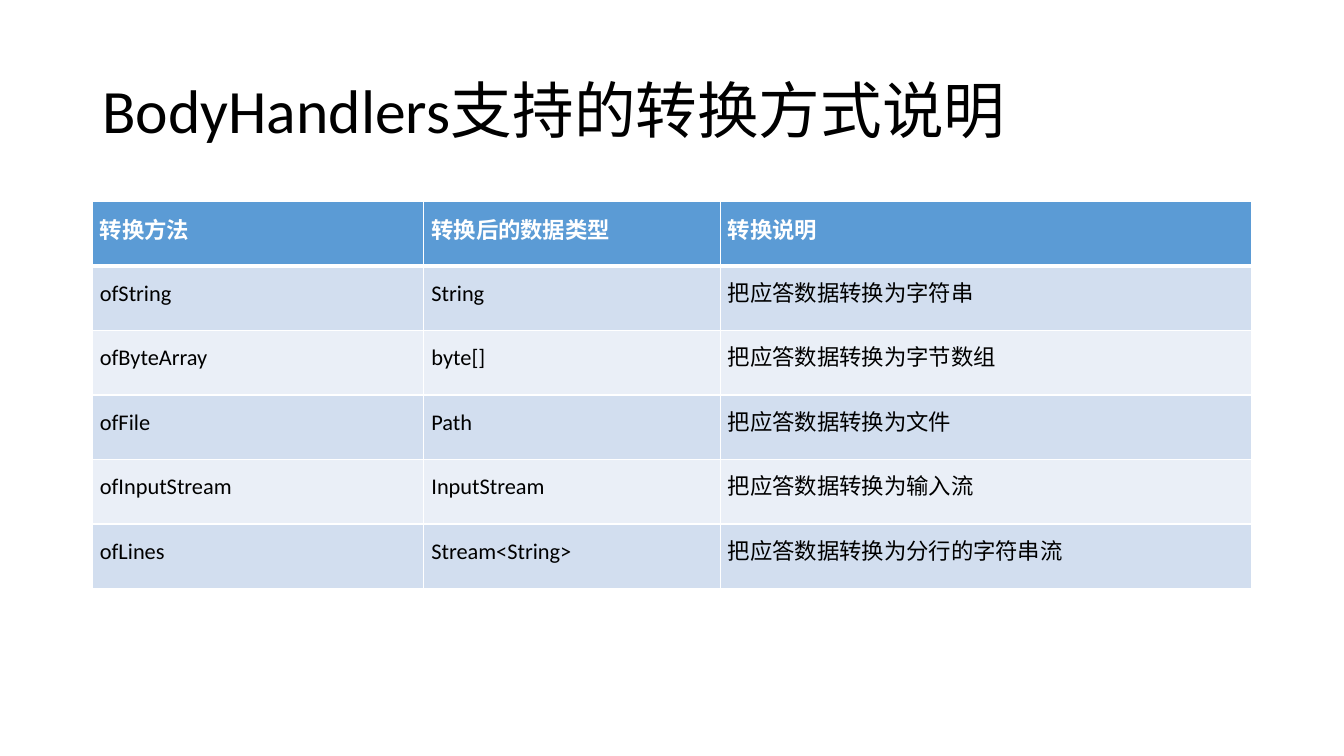
from dataclasses import dataclass

from lxml.etree import SubElement
from pptx import Presentation
from pptx.dml.color import RGBColor
from pptx.enum.text import MSO_ANCHOR, PP_ALIGN
from pptx.oxml.ns import qn
from pptx.util import Pt

TITLE = "BodyHandlers支持的转换方式说明"
HEADINGS = ("转换方法", "转换后的数据类型", "转换说明")
HANDLERS = [
    ("ofString", "String", "把应答数据转换为字符串"),
    ("ofByteArray", "byte[]", "把应答数据转换为字节数组"),
    ("ofFile", "Path", "把应答数据转换为文件"),
    ("ofInputStream", "InputStream", "把应答数据转换为输入流"),
    ("ofLines", "Stream<String>", "把应答数据转换为分行的字符串流"),
]

SLIDE_WIDTH, SLIDE_HEIGHT = 960, 540
LEFT, CONTENT_WIDTH = 66, 828
TITLE_TOP, TITLE_HEIGHT = 28.75, 104.4
TABLE_TOP, ROW_HEIGHT = 144, 46.08
COLUMN_WIDTHS = (236.8, 211.8, 379.4)
CELL_INSET = 5.4


@dataclass(frozen=True)
class Theme:
    """Font, type sizes and colours of the slide."""
    font: str = "Calibri"
    title_size: int = 44
    table_size: int = 16
    text: str = "000000"
    white: str = "FFFFFF"
    header: str = "5B9BD5"
    bands: tuple = ("D2DEEF", "EAEFF7")


THEME = Theme()


def style_font(paragraph, size, color, bold=False):
    """Set the font of a whole paragraph."""
    font = paragraph.font
    font.name, font.size, font.bold = THEME.font, Pt(size), bold
    font.color.rgb = RGBColor.from_string(color)


def add_borders(cell, bottom_width):
    """Draw white borders round a cell; call before setting its fill."""
    properties = cell._tc.get_or_add_tcPr()
    for side, width in (("L", 1), ("R", 1), ("T", 1), ("B", bottom_width)):
        line = SubElement(properties, qn(f"a:ln{side}"), w=str(Pt(width)))
        fill = SubElement(line, qn("a:solidFill"))
        SubElement(fill, qn("a:srgbClr"), val=THEME.white)


def fill_cell(cell, text, row):
    """Write and format one cell according to its row."""
    is_header = row == 0
    cell.text = text
    cell.vertical_anchor = MSO_ANCHOR.MIDDLE
    cell.margin_left = cell.margin_right = Pt(CELL_INSET)
    cell.margin_top = cell.margin_bottom = 0
    # The line under the header is shared with the top of the first body row.
    add_borders(cell, 3 if is_header else 1)
    if row == 1:
        cell._tc.tcPr.find(qn("a:lnT")).set("w", str(Pt(3)))
    cell.fill.solid()
    background = THEME.header if is_header else THEME.bands[(row - 1) % 2]
    cell.fill.fore_color.rgb = RGBColor.from_string(background)

    paragraph = cell.text_frame.paragraphs[0]
    paragraph.alignment = PP_ALIGN.JUSTIFY if is_header else PP_ALIGN.LEFT
    paragraph.line_spacing = Pt(15.6 if is_header else 13)
    style_font(paragraph, THEME.table_size,
               THEME.white if is_header else THEME.text, is_header)


def add_title(slide):
    """Place and format the slide title."""
    title = slide.shapes.title
    title.left, title.top = Pt(LEFT), Pt(TITLE_TOP)
    title.width, title.height = Pt(CONTENT_WIDTH), Pt(TITLE_HEIGHT)
    title.text_frame.text = TITLE
    title.text_frame.vertical_anchor = MSO_ANCHOR.MIDDLE
    paragraph = title.text_frame.paragraphs[0]
    paragraph.alignment = PP_ALIGN.LEFT
    paragraph.line_spacing = 0.9
    style_font(paragraph, THEME.title_size, THEME.text)


def add_handler_table(slide):
    """Add the table of conversion methods."""
    rows = [HEADINGS, *HANDLERS]
    table = slide.shapes.add_table(
        len(rows), len(HEADINGS), Pt(LEFT), Pt(TABLE_TOP),
        Pt(CONTENT_WIDTH), Pt(ROW_HEIGHT * len(rows))).table
    for column, width in zip(table.columns, COLUMN_WIDTHS):
        column.width = Pt(width)
    for row, texts in enumerate(rows):
        table.rows[row].height = Pt(ROW_HEIGHT)
        for column, text in enumerate(texts):
            fill_cell(table.cell(row, column), text, row)


presentation = Presentation()
presentation.slide_width = Pt(SLIDE_WIDTH)
presentation.slide_height = Pt(SLIDE_HEIGHT)
slide = presentation.slides.add_slide(
    presentation.slide_layouts.get_by_name("Title Only"))
add_title(slide)
add_handler_table(slide)
presentation.save("out.pptx")
